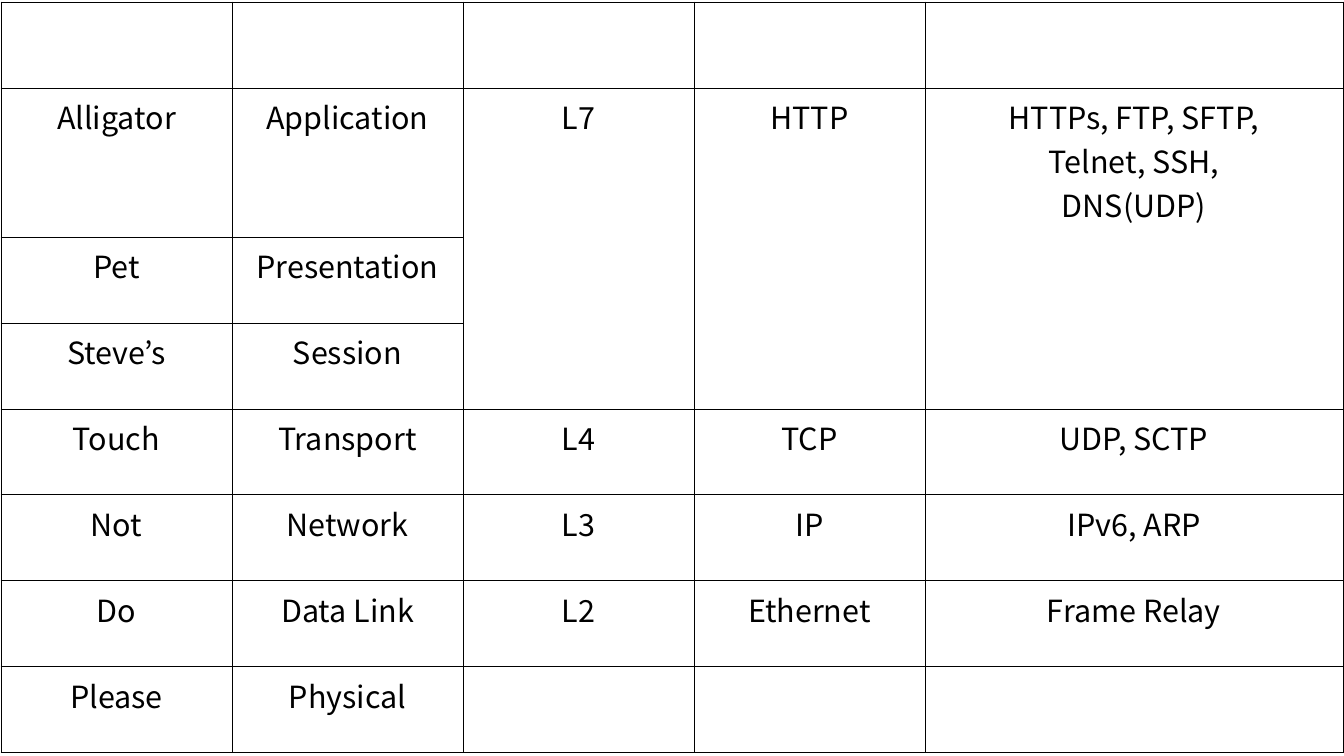
import pptx
import pptx.dml.color
import pptx.enum.text
import pptx.oxml
import pptx.oxml.ns
import pptx.util

PX = 914400 // 122
SLIDE_WIDTH, SLIDE_HEIGHT = 1344, 756
BLACK = pptx.dml.color.RGBColor(0x00, 0x00, 0x00)
FONT = "Noto Sans CJK KR"
TEXT_SIZE = pptx.util.Pt(18)
BORDER_WIDTH = pptx.util.Pt(0.57)

# Mnemonic, OSI layer, level, main protocol, other protocols
LAYERS = [
    ["", "", "", "", ""],
    ["Alligator", "Application", "L7", "HTTP",
     "HTTPs, FTP, SFTP,\nTelnet, SSH,\nDNS(UDP)"],
    ["Pet", "Presentation", "", "", ""],
    ["Steve’s", "Session", "", "", ""],
    ["Touch", "Transport", "L4", "TCP", "UDP, SCTP"],
    ["Not", "Network", "L3", "IP", "IPv6, ARP"],
    ["Do", "Data Link", "L2", "Ethernet", "Frame Relay"],
    ["Please", "Physical", "", "", ""],
]
APPLICATION_ROW, SESSION_ROW = 1, 3
LEVEL_COLUMN = 2
OTHERS_WIDTH = 418
APPLICATION_HEIGHT = 149


def add_borders(cell):
    properties = cell._tc.get_or_add_tcPr()
    namespace = pptx.oxml.ns.nsdecls("a")
    for position, side in enumerate(("lnL", "lnR", "lnT", "lnB")):
        properties.insert(position, pptx.oxml.parse_xml(
            f'<a:{side} {namespace} w="{BORDER_WIDTH}"><a:solidFill>'
            f'<a:srgbClr val="{BLACK}"/></a:solidFill></a:{side}>'))


def write_cell(cell, text):
    cell.fill.background()
    cell.margin_left = cell.margin_right = 5 * PX
    cell.margin_top = cell.margin_bottom = 6 * PX
    add_borders(cell)
    if not text:
        return
    for number, line in enumerate(text.split("\n")):
        frame = cell.text_frame
        paragraph = frame.add_paragraph() if number else frame.paragraphs[0]
        paragraph.alignment = pptx.enum.text.PP_ALIGN.CENTER
        run = paragraph.add_run()
        run.text = line
        run.font.name = FONT
        run.font.size = TEXT_SIZE
        run.font.color.rgb = BLACK


def add_layer_table(slide, left, top, width, height):
    row_count, column_count = len(LAYERS), len(LAYERS[0])
    table = slide.shapes.add_table(
        row_count, column_count,
        left * PX, top * PX, width * PX, height * PX).table
    table.first_row = table.horz_banding = False

    # Equal columns and rows, except the last column and the application row
    column_width = (width - OTHERS_WIDTH) // (column_count - 1)
    for column in table.columns:
        column.width = column_width * PX
    table.columns[column_count - 1].width = OTHERS_WIDTH * PX
    row_height = (height - APPLICATION_HEIGHT) // (row_count - 1)
    for row in table.rows:
        row.height = row_height * PX
    table.rows[APPLICATION_ROW].height = APPLICATION_HEIGHT * PX

    # The three upper layers share one level and its protocols
    for column in range(LEVEL_COLUMN, column_count):
        table.cell(APPLICATION_ROW, column).merge(
            table.cell(SESSION_ROW, column))

    for row, layer in enumerate(LAYERS):
        for column, text in enumerate(layer):
            write_cell(table.cell(row, column), text)


def main():
    presentation = pptx.Presentation()
    presentation.slide_width = SLIDE_WIDTH * PX
    presentation.slide_height = SLIDE_HEIGHT * PX
    slide = presentation.slides.add_slide(presentation.slide_layouts[6])
    add_layer_table(slide, 1, 2, 1342, 751)
    presentation.save("out.pptx")


if __name__ == "__main__":
    main()
